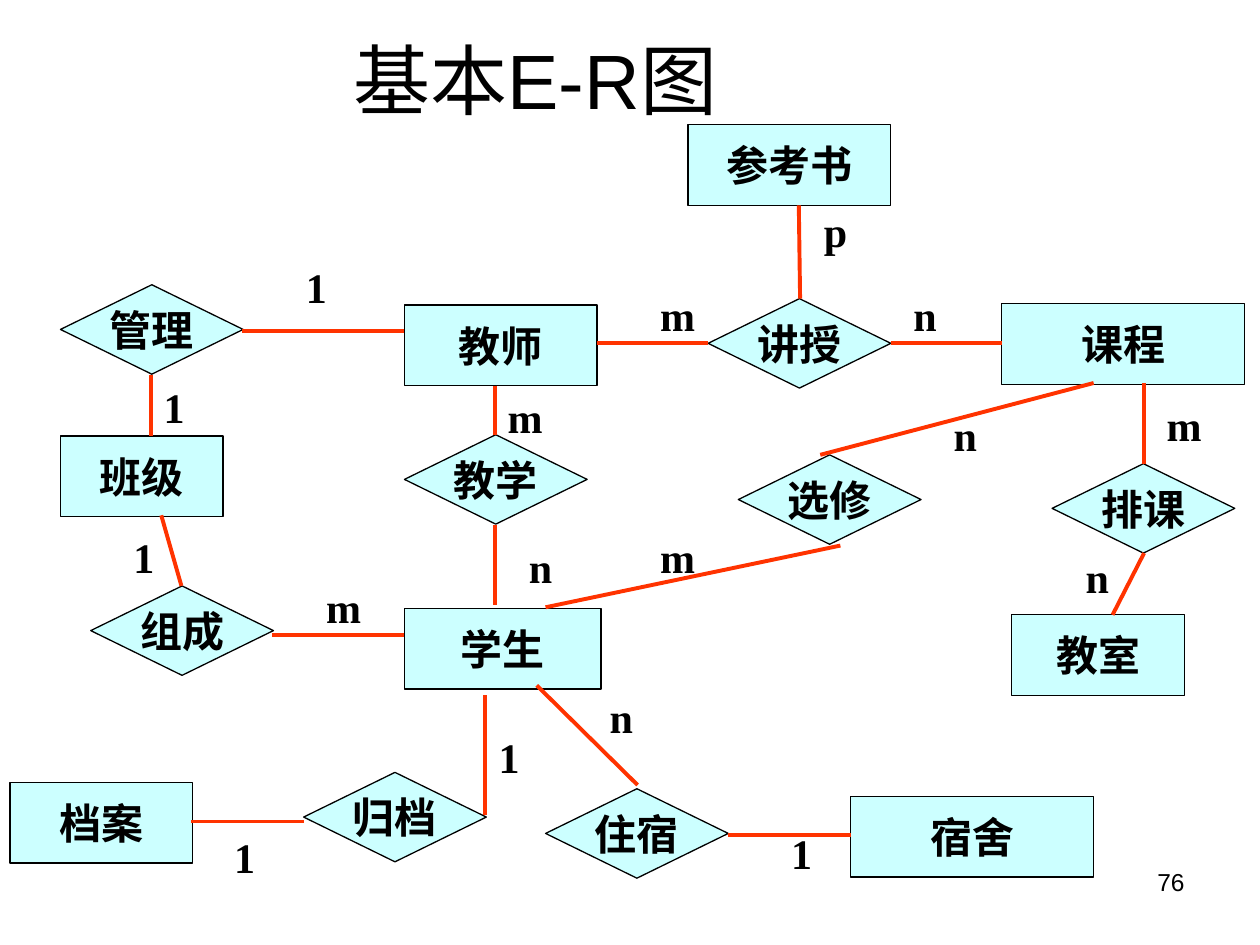
from lxml import etree
from pptx import Presentation
from pptx import util as u
from pptx.dml.color import RGBColor
from pptx.enum import shapes, text
from pptx.oxml.ns import qn

NODE_FILL, NODE_LINE, LINK, INK = "CCFFFF", "000000", "FF3300", "000000"
ENTITY_HEIGHT = 0.64
RELATION_SIZE = (1.45, 0.71)

# name, left, top, width
ENTITIES = [
    ("学生", 3.21, 4.83, 1.56),
    ("教师", 3.21, 2.42, 1.53),
    ("宿舍", 6.75, 6.32, 1.93),
    ("班级", 0.48, 3.46, 1.29),
    ("档案", 0.08, 6.21, 1.45),
    ("教室", 8.03, 4.88, 1.37),
    ("参考书", 5.46, 0.99, 1.61),
    ("课程", 7.95, 2.41, 1.93),
]
# name, left, top
RELATIONS = [
    ("教学", 3.21, 3.45),
    ("组成", 0.72, 4.65),
    ("住宿", 4.33, 6.26),
    ("归档", 2.41, 6.13),
    ("讲授", 5.62, 2.37),
    ("选修", 5.86, 3.61),
    ("排课", 8.35, 3.68),
    ("管理", 0.48, 2.26),
]
# start x, start y, end x, end y
LINKS = [
    (2.41, 6.52, 1.52, 6.52),
    (3.85, 5.52, 3.85, 6.47),
    (4.26, 5.44, 5.06, 6.23),
    (5.78, 6.63, 6.75, 6.63),
    (3.93, 3.06, 3.93, 3.45),
    (3.93, 4.17, 3.93, 4.8),
    (6.34, 1.63, 6.35, 2.37),
    (8.68, 3.04, 6.51, 3.61),
    (4.74, 2.72, 5.62, 2.72),
    (7.07, 2.72, 7.95, 2.72),
    (9.08, 3.04, 9.08, 3.68),
    (9.08, 4.39, 8.83, 4.88),
    (6.67, 4.33, 4.33, 4.82),
    (1.28, 4.09, 1.44, 4.65),
    (3.21, 5.04, 2.16, 5.04),
    (3.21, 2.63, 1.92, 2.63),
    (1.2, 2.98, 1.2, 3.46),
]
# label, left, top, width
CARDINALITIES = [
    ("m", 3.93, 3.06, 0.32),
    ("n", 4.09, 4.25, 0.4),
    ("n", 4.74, 5.44, 0.32),
    ("1", 6.18, 6.52, 0.32),
    ("1", 3.77, 5.76, 0.54),
    ("1", 1.76, 6.55, 0.32),
    ("m", 9.16, 3.12, 0.32),
    ("p", 6.44, 1.58, 0.32),
    ("n", 7.15, 2.25, 0.32),
    ("m", 5.14, 2.25, 0.32),
    ("n", 7.47, 3.2, 0.32),
    ("n", 8.51, 4.33, 0.4),
    ("m", 5.14, 4.17, 0.32),
    ("m", 2.49, 4.57, 0.32),
    ("1", 0.96, 4.17, 0.32),
    ("1", 2.33, 2.03, 0.32),
    ("1", 1.2, 2.98, 0.32),
]


def color(code):
    return RGBColor.from_string(code)


def inches(*lengths):
    return [u.Inches(length) for length in lengths]


def write(box, words, size, font, bold=False, align=text.PP_ALIGN.CENTER):
    frame = box.text_frame
    frame.text = words
    para = frame.paragraphs[0]
    para.alignment = align
    span = para.runs[0].font
    span.size, span.name, span.bold = u.Pt(size), font, bold
    span.color.rgb = color(INK)
    return frame


def add_title(page, words):
    title = page.shapes.title
    title.left, title.top, title.width, title.height = inches(0, 0, 8.5, 1.25)
    frame = write(title, words, 44, "Arial")
    frame.vertical_anchor = text.MSO_ANCHOR.MIDDLE


def add_page_number(page, number):
    box = page.shapes.add_textbox(*inches(7.17, 6.83, 2.33, 0.52))
    frame = write(box, number, 14, "Arial", align=text.PP_ALIGN.RIGHT)
    frame.word_wrap = True


def add_node(page, kind, name, left, top, width, height):
    node = page.shapes.add_shape(kind, *inches(left, top, width, height))
    node.shadow.inherit = False
    node.fill.solid()
    node.fill.fore_color.rgb = color(NODE_FILL)
    node.line.color.rgb = color(NODE_LINE)
    node.line.width = u.Pt(0.75)
    frame = write(node, name, 24, "Times New Roman", bold=True)
    frame.word_wrap = False
    frame.vertical_anchor = text.MSO_ANCHOR.MIDDLE


def add_link(page, *ends):
    link = page.shapes.add_connector(shapes.MSO_CONNECTOR.STRAIGHT, *inches(*ends))
    link.line.color.rgb = color(LINK)
    link.line.width = u.Pt(2.25)
    etree.SubElement(link._element.spPr, qn("a:effectLst"))


def add_cardinality(page, label, left, top, width):
    box = page.shapes.add_textbox(*inches(left, top, width, 0.5))
    frame = write(box, label, 24, "Times New Roman", bold=True)
    frame.word_wrap = True
    frame.auto_size = text.MSO_AUTO_SIZE.SHAPE_TO_FIT_TEXT


def main():
    deck = Presentation()
    deck.slide_width, deck.slide_height = inches(10, 7.5)
    page = deck.slides.add_slide(deck.slide_layouts[5])
    add_title(page, "基本E-R图")
    add_page_number(page, "76")
    for entity in ENTITIES:
        add_node(page, shapes.MSO_SHAPE.RECTANGLE, *entity, ENTITY_HEIGHT)
    for relation in RELATIONS:
        add_node(page, shapes.MSO_SHAPE.FLOWCHART_DECISION, *relation, *RELATION_SIZE)
    for link in LINKS:
        add_link(page, *link)
    for cardinality in CARDINALITIES:
        add_cardinality(page, *cardinality)
    deck.save("out.pptx")


if __name__ == "__main__":
    main()
